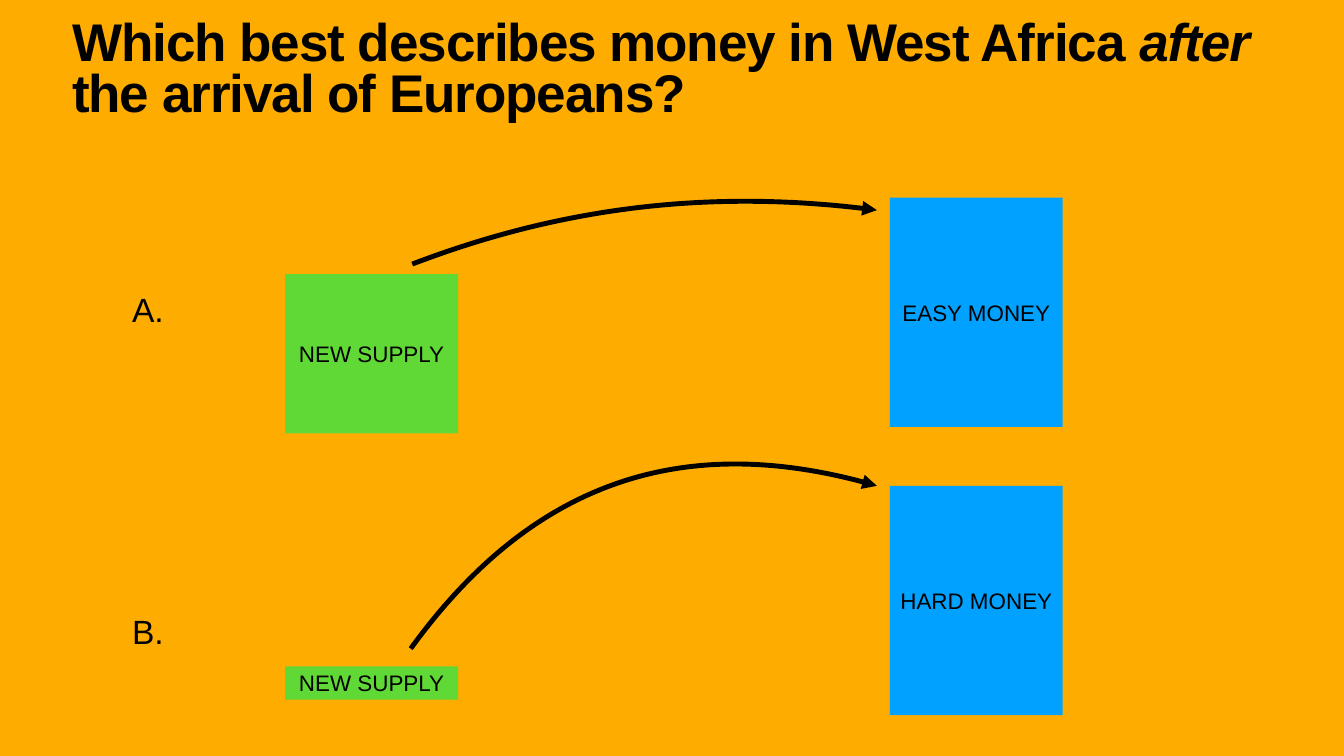
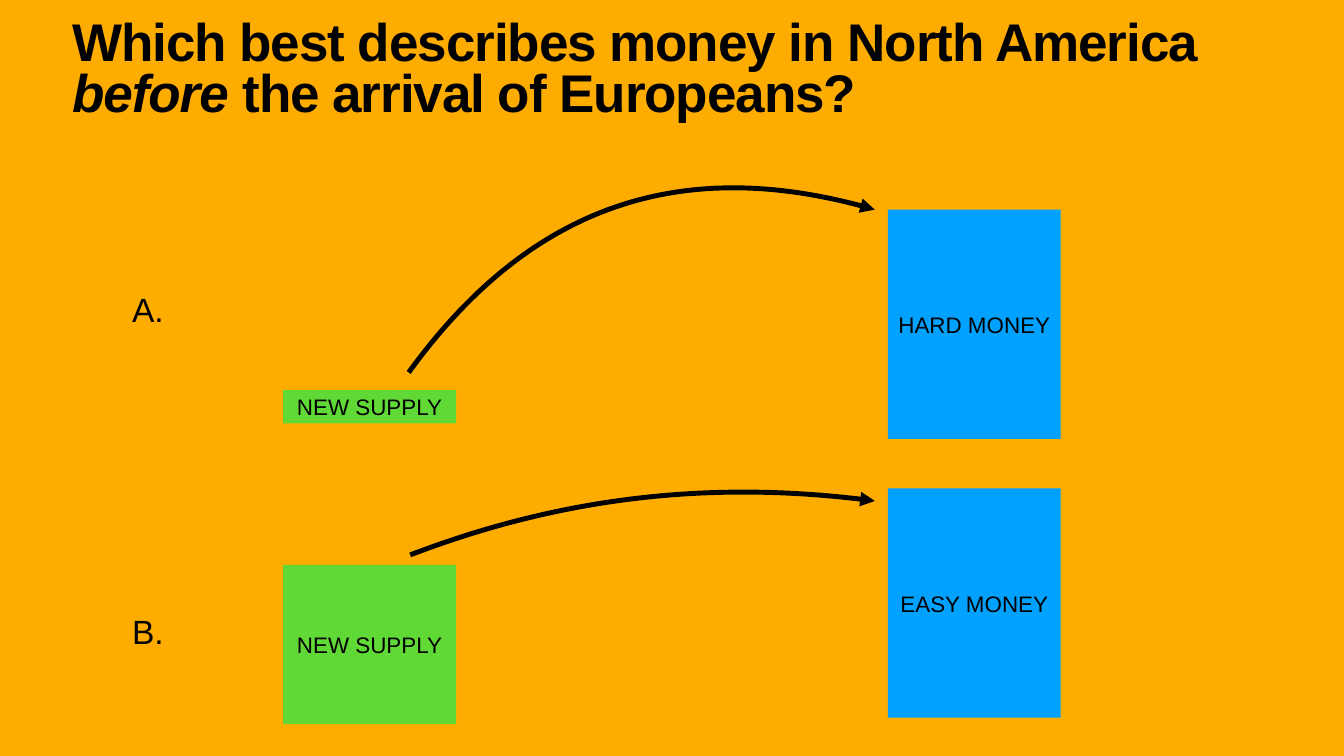
from dataclasses import dataclass

from lxml import etree
from pptx import Presentation
from pptx.dml.color import RGBColor
from pptx.enum.shapes import MSO_SHAPE
from pptx.enum.text import MSO_ANCHOR as Anchor
from pptx.enum.text import MSO_AUTO_SIZE as AutoSize
from pptx.enum.text import PP_ALIGN as Align
from pptx.oxml.ns import qn
from pptx.slide import Slide
from pptx.text.text import Font, TextFrame
from pptx.util import Inches, Pt

AMBER = RGBColor(0xFE, 0xAD, 0x00)
GREEN = RGBColor(0x60, 0xD9, 0x37)
BLUE = RGBColor(0x00, 0xA1, 0xFF)
BLACK = RGBColor(0x00, 0x00, 0x00)

FONT = "Arial"
INSET = Inches(0.06)
BOX_W = 3.43
MONEY_H = 4.55
MONEY_DX = 12.0
LABEL_X = 2.56
LABELS = (("A.", 5.75), ("B.", 12.14))

Point = tuple[float, float]


@dataclass(frozen=True)
class Scenario:
    money: str
    supply_dy: float
    supply_h: float
    curve: tuple[Point, Point, Point, Point]
    peak: float


@dataclass(frozen=True)
class Question:
    before: str
    emphasis: str
    after: str
    left: float
    options: tuple[tuple[Scenario, float], ...]


# Curve points and peaks are offsets from the supply's left and the money's top.
EASY = Scenario("EASY MONEY", 1.52, 3.16,
                ((2.52, 1.32), (5.5, 0.18), (8.58, -0.17), (11.74, 0.25)), 0.08)
HARD = Scenario("HARD MONEY", 3.58, 0.66,
                ((2.49, 3.23), (4.86, -0.04), (7.94, -1.11), (11.74, 0)), -0.43)

QUESTIONS = (
    Question("Which best describes money in West Africa ", "after",
             " the arrival of Europeans?", 5.66, ((EASY, 3.92), (HARD, 9.64))),
    Question("Which best describes money in North America ", "before",
             " the arrival of Europeans?", 5.62, ((HARD, 4.16), (EASY, 9.69))),
)


def style_font(font: Font, size: float) -> None:
    font.name = FONT
    font.size = Pt(size)
    font.color.rgb = BLACK


def set_frame(tf: TextFrame, anchor: Anchor, wrap: bool = True) -> None:
    tf.margin_left = tf.margin_right = tf.margin_top = tf.margin_bottom = INSET
    tf.vertical_anchor = anchor
    tf.word_wrap = wrap


def add_title(s: Slide, question: Question) -> None:
    sp = s.shapes.title
    sp.left, sp.top, sp.width, sp.height = map(Inches, (1.37, 0.36, 23.92, 2.39))
    tf = sp.text_frame
    set_frame(tf, Anchor.TOP)
    tf.auto_size = AutoSize.NONE
    p = tf.paragraphs[0]
    p.alignment = Align.LEFT
    p.line_spacing = 0.8
    for text in (question.before, question.emphasis, question.after):
        r = p.add_run()
        r.text = text
        style_font(r.font, 75.7)
        r.font.bold = True
        r.font.italic = text == question.emphasis
        r._r.get_or_add_rPr().set("spc", "-150")


def add_box(s: Slide, text: str, left: float, top: float, height: float,
            color: RGBColor) -> None:
    sp = s.shapes.add_shape(MSO_SHAPE.RECTANGLE, Inches(left), Inches(top),
                            Inches(BOX_W), Inches(height))
    sp.shadow.inherit = False
    sp.fill.solid()
    sp.fill.fore_color.rgb = color
    sp.line.fill.background()
    tf = sp.text_frame
    set_frame(tf, Anchor.MIDDLE)
    tf.text = text
    p = tf.paragraphs[0]
    p.alignment = Align.CENTER
    style_font(p.runs[0].font, 32)


def add_arrow(s: Slide, scenario: Scenario, left: float, top: float) -> None:
    points = [(Inches(left + x), Inches(top + y)) for x, y in scenario.curve]
    start, end = points[0], points[-1]
    builder = s.shapes.build_freeform(*start, scale=1.0)
    builder.add_line_segments([(end[0], Inches(top + scenario.peak)), end], close=False)
    sp = builder.convert_to_shape()
    sp.shadow.inherit = False
    sp.fill.background()
    sp.line.color.rgb = BLACK
    sp.line.width = Pt(7)

    segments = list(sp._element.iter(qn("a:lnTo")))
    outline = segments[0].getparent()
    for segment in segments:
        outline.remove(segment)
    bezier = etree.SubElement(outline, qn("a:cubicBezTo"))
    for x, y in points[1:]:
        etree.SubElement(bezier, qn("a:pt"), x=str(x - sp.left), y=str(y - sp.top))
    etree.SubElement(sp.line._get_or_add_ln(), qn("a:tailEnd"), type="triangle")


def add_label(s: Slide, text: str, top: float) -> None:
    sp = s.shapes.add_textbox(Inches(LABEL_X), Inches(top), Inches(0.75), Inches(0.88))
    tf = sp.text_frame
    set_frame(tf, Anchor.MIDDLE, wrap=False)
    tf.auto_size = AutoSize.SHAPE_TO_FIT_TEXT
    tf.text = text
    p = tf.paragraphs[0]
    p.line_spacing = 0.9
    style_font(p.runs[0].font, 48)


def add_scenario(s: Slide, scenario: Scenario, left: float, top: float) -> None:
    add_box(s, "NEW SUPPLY", left, top + scenario.supply_dy, scenario.supply_h, GREEN)
    add_box(s, scenario.money, left + MONEY_DX, top, MONEY_H, BLUE)
    add_arrow(s, scenario, left, top)


def main() -> None:
    prs = Presentation()
    prs.slide_width, prs.slide_height = Inches(26.67), Inches(15)
    background = prs.slide_master.background.fill
    background.solid()
    background.fore_color.rgb = AMBER
    for question in QUESTIONS:
        s = prs.slides.add_slide(prs.slide_layouts[5])
        add_title(s, question)
        for scenario, top in question.options:
            add_scenario(s, scenario, question.left, top)
        for text, top in LABELS:
            add_label(s, text, top)
    prs.save("out.pptx")


if __name__ == "__main__":
    main()
